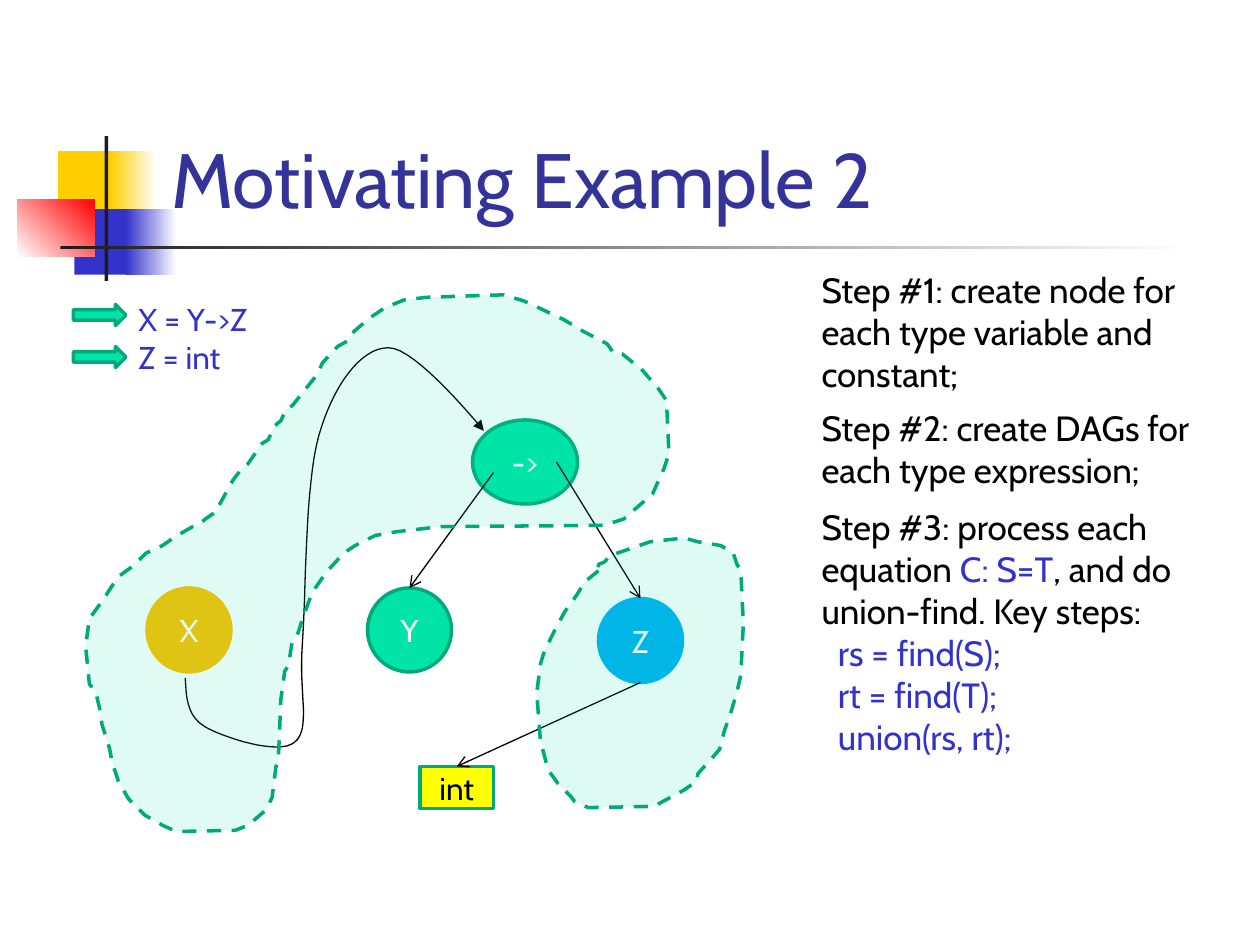
from lxml import etree
from pptx import Presentation
from pptx import util as u
from pptx.dml.color import RGBColor
from pptx.enum import dml, shapes, text
from pptx.oxml import ns

FONT = "Cabin"
WHITE = RGBColor(0xFF, 0xFF, 0xFF)
BLACK = RGBColor(0, 0, 0)
INK = RGBColor(0x1C, 0x1C, 0x1C)
NAVY = RGBColor(0x33, 0x33, 0x99)
BLUE = RGBColor(0x33, 0x33, 0xCC)
SUN = RGBColor(0xFF, 0xCF, 0x01)
RED = RGBColor(0xFF, 0, 0)
GREEN = RGBColor(0, 0xE4, 0xA8)
DARK_GREEN = RGBColor(0, 0xA9, 0x7C)
GOLD = RGBColor(0xFF, 0xC0, 0)
SKY = RGBColor(0, 0xB0, 0xF0)
YELLOW = RGBColor(0xFF, 0xFF, 0)

CELL = u.Inches(1) / 12  # diagram grid
KIND = shapes.MSO_SHAPE

# Outlines in hundredths of an inch from the diagram's corner
ARROW_GROUP = [
    (153, 218), (139, 226), (129, 233), (116, 239), (106, 249), (95, 257),
    (89, 265), (82, 276), (71, 291), (68, 313), (71, 343), (76, 349),
    (79, 362), (81, 375), (87, 394), (89, 405), (94, 420), (102, 434),
    (115, 447), (129, 455), (140, 460), (187, 459), (197, 455), (211, 443),
    (216, 433), (219, 409), (221, 402), (223, 355), (226, 333), (229, 328),
    (232, 309), (236, 304), (242, 286), (248, 270), (255, 260), (261, 252),
    (273, 239), (282, 233), (298, 225), (315, 222), (350, 218), (479, 217),
    (495, 212), (510, 199), (518, 192), (527, 172), (531, 160), (529, 118),
    (523, 109), (510, 94), (494, 81), (487, 80), (482, 73), (463, 63),
    (448, 54), (427, 44), (416, 39), (400, 34), (339, 36), (321, 38),
    (306, 44), (294, 52), (281, 63), (277, 70), (268, 75), (256, 88),
    (252, 97), (240, 112), (232, 122), (227, 125), (223, 134), (218, 138),
    (213, 149), (208, 152), (197, 168), (192, 172), (185, 181), (174, 201),
    (173, 205), (163, 212), (157, 217)]
INT_GROUP = [
    (475, 253), (464, 262), (458, 272), (448, 286), (440, 301), (432, 317),
    (429, 327), (426, 350), (429, 388), (435, 411), (443, 422), (453, 432),
    (456, 436), (467, 441), (519, 440), (543, 427), (553, 420), (554, 414),
    (563, 404), (571, 395), (575, 380), (580, 366), (585, 349), (588, 336),
    (590, 295), (588, 253), (585, 248), (582, 239), (572, 233), (554, 230),
    (543, 227), (516, 230), (493, 238), (484, 241), (480, 246), (475, 248)]
# Bezier knots and handles, in the same units
LINK_CURVE = [
    (147, 338), (148, 353), (148, 368), (163, 377), (177, 385), (221, 400),
    (234, 389), (247, 378), (237, 351), (240, 311), (243, 270), (242, 185),
    (253, 146), (264, 107), (286, 76), (308, 76), (330, 75), (384, 142),
    (384, 142)]


def plain(shape, fill, line=None):
    shape.shadow.inherit = False
    if fill is None:
        shape.fill.background()
    else:
        shape.fill.solid()
        shape.fill.fore_color.rgb = fill
    if line is None:
        shape.line.fill.background()
    else:
        shape.line.color.rgb = line
        shape.line.width = u.Pt(2)
    return shape


def style(para, size, color):
    para.font.name, para.font.size = FONT, u.Pt(size)
    para.font.color.rgb = color


def arrowhead(line, kind):
    line.line.color.rgb = BLACK
    line.line.width = u.Pt(0.75)
    etree.SubElement(line.line._get_or_add_ln(), ns.qn("a:tailEnd"), type=kind)


def place(shape, box):
    shape.left, shape.top, shape.width, shape.height = map(u.Inches, box)


def heading(page, box):
    """Overlapping squares and rules, with the title on top."""
    left, top = box[:2]
    parts = [  # x, y, width, height, first colour, last colour, angle
        (0.32, 0.12, 0.48, 0.52, SUN, SUN, 0),
        (0.74, 0.12, 0.36, 0.52, SUN, WHITE, 0),
        (0.45, 0.58, 0.46, 0.52, BLUE, BLUE, 0),
        (0.86, 0.58, 0.40, 0.52, BLUE, WHITE, 0),
        (0, 0.50, 0.61, 0.46, WHITE, RED, 45),
        (0.69, 0, 0.03, 1.15, INK, INK, 0),
        (0.34, 0.87, 9, 0.03, INK, WHITE, 0)]
    for x, y, width, height, first, last, angle in parts:
        part = page.shapes.add_shape(KIND.RECTANGLE, 0, 0, 0, 0)
        place(part, (left + x, top + y, width, height))
        plain(part, first)
        if first != last:
            part.fill.gradient()
            part.fill.gradient_angle = angle
            for stop, color in zip(part.fill.gradient_stops, (first, last)):
                stop.color.rgb = color

    title = page.shapes.title
    place(title, (left + 1.12, top - 0.85, 8.52, 1.6))
    title.text = "Motivating Example 2"
    title.text_frame.vertical_anchor = text.MSO_ANCHOR.BOTTOM
    title.text_frame.auto_size = text.MSO_AUTO_SIZE.NONE
    para = title.text_frame.paragraphs[0]
    para.alignment = text.PP_ALIGN.LEFT
    style(para, 44, NAVY)
    title.element.getparent().append(title.element)


def steps(page, box):
    """The three steps, with the key calls indented."""
    body = page.placeholders[1]
    place(body, box)
    frame = body.text_frame
    frame.auto_size = text.MSO_AUTO_SIZE.NONE
    rows = [  # spans, space before, indent
        (["Step #1: create node for each type variable and constant;"], 0, 0),
        (["Step #2: create DAGs for each type expression;"], 7, 0),
        (["Step #3: process each equation ", "C: S=T",
          ", and do union-find. Key steps:"], 8.5, 0),
        (["rs = find(S);"], 0, 0.13),
        (["rt = find(T);"], 0, 0.13),
        (["union(rs, rt);"], 0, 0.13)]
    for index, (spans, gap, indent) in enumerate(rows):
        para = frame.add_paragraph() if index else frame.paragraphs[0]
        props = para._p.get_or_add_pPr()
        props.set("marL", str(u.Inches(indent)))
        props.set("indent", "0")
        etree.SubElement(props, ns.qn("a:buNone"))
        para.space_before = u.Pt(gap)
        style(para, 20, BLUE if indent else BLACK)
        for words in spans:
            span = para.add_run()
            span.text = words
            if words == "C: S=T":
                span.font.color.rgb = BLUE


def diagram(page, box):
    """Equations and the type graph with its two merged groups."""
    left, top = map(u.Inches, box[:2])

    def at(column, row):
        return round(left + column * CELL), round(top + row * CELL)

    def add(kind, column, row, columns, rows, fill, line, label="", ink=WHITE):
        shape = page.shapes.add_shape(kind, *at(column, row),
                                      round(columns * CELL), round(rows * CELL))
        plain(shape, fill, line)
        if label:
            frame = shape.text_frame
            frame.text = label
            frame.vertical_anchor = text.MSO_ANCHOR.MIDDLE
            frame.paragraphs[0].alignment = text.PP_ALIGN.CENTER
            style(frame.paragraphs[0], 18, ink)

    def link(start, end):
        line = page.shapes.add_connector(shapes.MSO_CONNECTOR.STRAIGHT,
                                         *at(*start), *at(*end))
        arrowhead(line, "arrow")
        etree.SubElement(line._element.spPr, ns.qn("a:effectLst"))

    def outline(points, close):
        points = [(x * 10, y * 10) for x, y in points]
        builder = page.shapes.build_freeform(*points[0], scale=914.4)
        builder.add_line_segments(points[1:], close=close)
        return builder.convert_to_shape(left, top)

    # Equations
    note = page.shapes.add_textbox(*at(12, 4), round(16 * CELL), round(8.5 * CELL))
    note.text_frame.word_wrap = True
    note.text_frame.text = "X = Y->Z\nZ = int"
    for para in note.text_frame.paragraphs:
        style(para, 18, BLUE)
    for row in (5, 9):
        add(KIND.RIGHT_ARROW, 7, row, 5, 2, GREEN, DARK_GREEN)

    # Nodes
    add(KIND.OVAL, 35, 32, 8, 8, GREEN, DARK_GREEN, "Y")
    add(KIND.OVAL, 14, 32, 8, 8, GOLD, GOLD, "X")
    add(KIND.OVAL, 57, 33, 8, 8, SKY, SKY, "Z")
    add(KIND.RECTANGLE, 40, 49, 7, 4, YELLOW, DARK_GREEN, "int", BLACK)
    add(KIND.OVAL, 45, 16, 10, 8, GREEN, DARK_GREEN, "->")

    # Links
    link((61, 41), (43.5, 49))
    link((47, 21), (39, 32))
    link((53, 20), (61, 33))
    curve = [LINK_CURVE[0]]
    for start in range(0, len(LINK_CURVE) - 1, 3):
        knots = LINK_CURVE[start:start + 4]
        for t in (step / 16 for step in range(1, 17)):
            weights = ((1 - t) ** 3, 3 * t * (1 - t) ** 2, 3 * t * t * (1 - t), t ** 3)
            curve.append(tuple(sum(w * knot[axis] for w, knot in zip(weights, knots))
                               for axis in (0, 1)))
    arrowhead(plain(outline(curve, False), None), "triangle")

    # Merged groups
    for points, alpha in ((ARROW_GROUP, 12), (INT_GROUP, 13)):
        group = plain(outline(points, True), GREEN, DARK_GREEN)
        group.line.dash_style = dml.MSO_LINE.DASH
        color = group._element.spPr.find(ns.qn("a:solidFill"))[0]
        etree.SubElement(color, ns.qn("a:alpha"), val=str(alpha * 1000))


def main():
    deck = Presentation()
    deck.slide_width, deck.slide_height = u.Inches(10), u.Inches(7.5)
    page = deck.slides.add_slide(deck.slide_layouts[1])
    heading(page, (0.14, 1.08, 9.64, 1.15))
    diagram(page, (0, 2, 6, 5))
    steps(page, (6.42, 2.08, 3.33, 4))
    deck.save("out.pptx")


if __name__ == "__main__":
    main()
